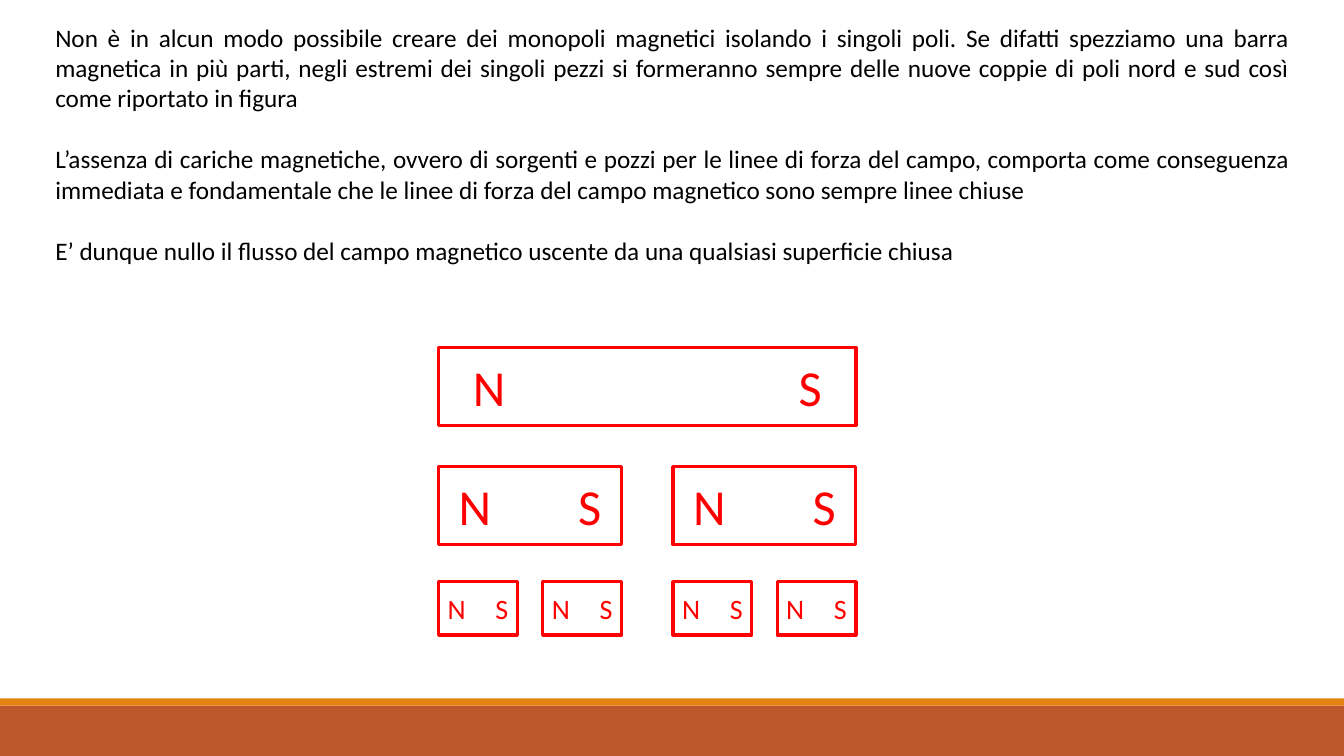
from lxml.etree import SubElement
from pptx import Presentation
from pptx.dml.color import RGBColor
from pptx.enum.shapes import MSO_SHAPE as Shape
from pptx.enum.text import MSO_ANCHOR as Anchor, PP_ALIGN as Align
from pptx.oxml.ns import qn
from pptx.util import Inches, Pt

EXPLANATION = [
    "Non è in alcun modo possibile creare dei monopoli magnetici isolando i singoli poli. "
    "Se difatti spezziamo una barra magnetica in più parti, negli estremi dei singoli pezzi "
    "si formeranno sempre delle nuove coppie di poli nord e sud così come riportato in figura",
    "L’assenza di cariche magnetiche, ovvero di sorgenti e pozzi per le linee di forza del campo, "
    "comporta come conseguenza immediata e fondamentale che le linee di forza del campo magnetico "
    "sono sempre linee chiuse",
    "E’ dunque nullo il flusso del campo magnetico uscente da una qualsiasi superficie chiusa",
]
POLES = ["N", "S"]
FOOTER_BANDS = [(7, 0.5, "BD582C"), (6.93, 0.07, "E48312")]  # top, height, colour
WHOLE_BAR = (4.35, 4.14)  # left, width
# top, height, letter size, inset of the letters, gap left by the next break
MAGNET_ROWS = [
    (3.45, 0.77, 36, 0.34, 0.51),
    (4.63, 0.77, 36, 0.2, 0.25),
    (5.77, 0.53, 20, 0.09, 0),
]
SLIDE_WIDTH, SLIDE_HEIGHT = 13.33, 7.5


def colour(hex_code):
    return RGBColor.from_string(hex_code)


def write(frame, paragraphs, *, size, ink, align, space_after=0):
    frame.word_wrap = True
    for index, content in enumerate(paragraphs):
        paragraph = frame.add_paragraph() if index else frame.paragraphs[0]
        paragraph.alignment = align
        paragraph.space_after = Pt(space_after)
        run = paragraph.add_run()
        run.text = content
        run.font.name = "Calibri"
        run.font.size = Pt(size)
        run.font.color.rgb = colour(ink)


def add_box(slide, left, top, width, height, fill, outline=None):
    box = slide.shapes.add_shape(
        Shape.RECTANGLE, Inches(left), Inches(top), Inches(width), Inches(height))
    box.shadow.inherit = False
    box.fill.solid()
    box.fill.fore_color.rgb = colour(fill)
    if outline:
        box.line.color.rgb = colour(outline)
        box.line.width = Pt(2.25)
    else:
        box.line.fill.background()
    return box


def add_magnet(slide, left, top, width, height, size, inset):
    """Draw a piece of the bar, its poles held apart by a right tab stop."""
    magnet = add_box(slide, left, top, width, height, "FFFFFF", "FF0101")
    frame = magnet.text_frame
    frame.vertical_anchor = Anchor.MIDDLE
    frame.margin_left, frame.margin_right = Inches(inset), 0
    write(frame, ["\t".join(POLES)], size=size, ink="FF0000", align=Align.LEFT)
    properties = frame.paragraphs[0]._p.get_or_add_pPr()
    stops = SubElement(properties, qn("a:tabLst"))
    SubElement(stops, qn("a:tab"), pos=str(Inches(width - 2 * inset)), algn="r")


def break_in_two(piece, gap):
    left, width = piece
    half = (width - gap) / 2
    return [(left, half), (left + half + gap, half)]


def main():
    deck = Presentation()
    deck.slide_width, deck.slide_height = Inches(SLIDE_WIDTH), Inches(SLIDE_HEIGHT)
    slide = deck.slides.add_slide(deck.slide_layouts[6])

    for top, height, fill in FOOTER_BANDS:
        add_box(slide, 0, top, SLIDE_WIDTH, height, fill)

    pieces = [WHOLE_BAR]
    for top, height, size, inset, gap in MAGNET_ROWS:
        for left, width in pieces:
            add_magnet(slide, left, top, width, height, size, inset)
        pieces = [half for piece in pieces for half in break_in_two(piece, gap)]

    explanation = slide.shapes.add_textbox(
        Inches(0.45), Inches(0.17), Inches(12.44), Inches(2.52))
    write(explanation.text_frame, EXPLANATION, size=18, ink="000000",
          align=Align.JUSTIFY, space_after=22)

    deck.save("out.pptx")


if __name__ == "__main__":
    main()
